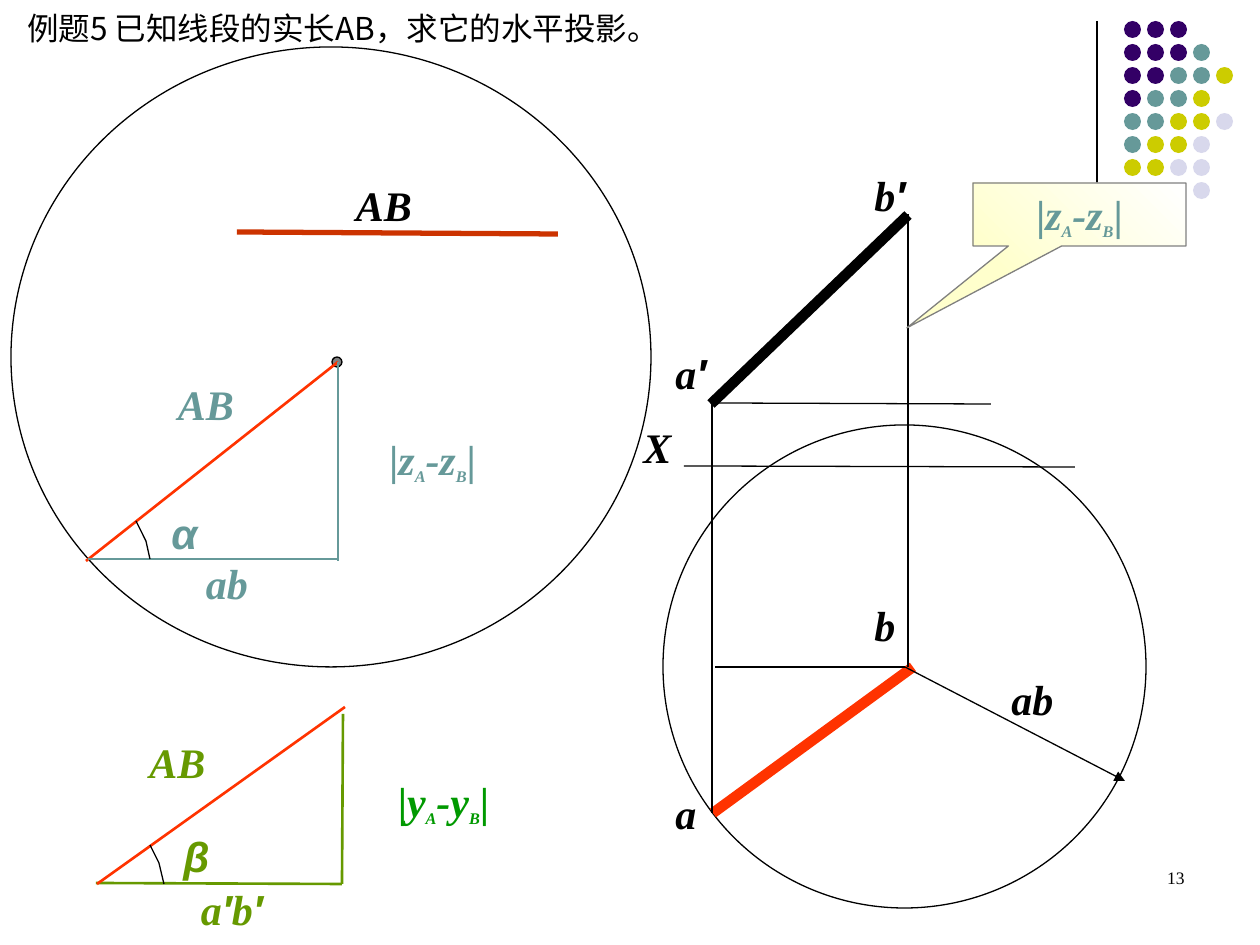
import pptx
import pptx.util
import pptx.dml.color
import pptx.enum.shapes
import pptx.enum.text
import lxml.etree

SCALE = 914400 / 126
SERIF, SANS, HAN = "Times New Roman", "Arial", "Noto Sans CJK SC"
BLACK, TEAL, OLIVE, GREEN = "000000", "669999", "669900", "009900"
RED, BRICK, GREY = "FF3300", "CC3300", "808080"

# Corner dots: one letter per dot, a space for a gap
DOT_ROWS = ["PPP", "PPPT", "PPTTY", "PTTY", "TTYYL", "TYYL", "YYLL", "   L"]
DOT_COLOURS = {"P": "330066", "T": TEAL, "Y": "CCCC00", "L": "D8D8EC"}
DOT_LEFT, DOT_TOP, DOT_STEP, DOT_SIZE = 1124, 21, 23, 17

# Run styles: font, size, italic, baseline in thousandths of a percent
STYLES = {
    "letter": (SERIF, 24, True, 0),
    "upright": (SERIF, 24, False, 0),
    "sub": (SERIF, 16, True, -25000),
    "greek": (SANS, 24, True, 0),
}


def difference(axis):
    return [("|", "upright"), (axis, "letter"), ("A", "sub"),
            ("-" + axis, "letter"), ("B", "sub"), ("|", "upright")]


def letters(text):
    return [(text, "letter")]


def primed(*names):
    return [run for name in names
            for run in ((name, "letter"), ("′", "greek"))]


# Labels: runs, left, top, width, colour, alignment
LABELS = [
    (letters("a"), 663, 781, 62, BLACK, "left"),
    (letters("ab"), 999, 667, 116, BLACK, "left"),
    (primed("b"), 862, 163, 71, BLACK, "left"),
    (letters("X"), 631, 415, 82, BLACK, "left"),
    (primed("a"), 663, 341, 78, BLACK, "left"),
    (letters("b"), 862, 593, 67, BLACK, "left"),
    (letters("AB"), 316, 173, 136, BLACK, "center"),
    ([("α", "greek")], 159, 501, 52, TEAL, "left"),
    (letters("AB"), 127, 372, 158, TEAL, "center"),
    (letters("ab"), 169, 551, 116, TEAL, "center"),
    (difference("z"), 321, 427, 223, TEAL, "center"),
    ([("β", "greek")], 171, 824, 63, OLIVE, "left"),
    (primed("a", "b"), 106, 877, 252, OLIVE, "center"),
    (difference("y"), 311, 769, 265, GREEN, "center"),
    (letters("AB"), 137, 730, 158, OLIVE, "left"),
]
LABEL_HEIGHT = 63

# Straight lines: from x, y, to x, y, colour, width in points
LINES = [
    (713, 813, 913, 667, RED, 6),              # ab
    (711, 403, 991, 404, BLACK, 0.75),         # level of a′
    (712, 813, 712, 403, BLACK, 0.75),         # a to a′
    (905, 667, 715, 667, BLACK, 0.75),         # level of b
    (96, 883, 342, 884, OLIVE, 1.5),           # beta triangle
    (343, 714, 342, 884, OLIVE, 1.5),
    (97, 884, 345, 707, RED, 1.5),
    (86, 561, 338, 362, RED, 1.5),             # alpha triangle
    (337, 559, 88, 559, TEAL, 1.5),
    (338, 362, 338, 561, TEAL, 1.5),
    (1075, 467, 684, 466, BLACK, 0.75),        # X axis
    (908, 667, 908, 214, BLACK, 0.75),         # b to b′
    (908, 215, 711, 404, BLACK, 6),            # a′b′
    (237, 232, 558, 234, BRICK, 3),            # true length AB
]
RADIUS_ARROW = (905, 667, 1125, 781, BLACK, 0.75)
DIVIDER = (1097, 21, 1097, 231, BLACK, 0.75)
ANGLE_MARKS = [
    [(136, 521), (146, 541), (150, 559)],
    [(150, 845), (159, 863), (164, 884)],
]
CIRCLES = [(663, 425, 483, 483), (11, 47, 640, 620)]
PIVOT = (332, 357, 10, 10)
CALLOUT = (973, 183, 213, 63)
TITLE, TITLE_AREA = "例题5 已知线段的实长AB，求它的水平投影。", (15, 3, 655, 88)
NUMBER, NUMBER_AREA = "13", (903, 861, 294, 63)


def px(*values):
    return [pptx.util.Emu(round(value * SCALE)) for value in values]


def colour(code):
    return pptx.dml.color.RGBColor.from_string(code)


def set_line(item, code, width):
    item.line.color.rgb = colour(code)
    item.line.width = pptx.util.Pt(width)


def add_line(page, x1, y1, x2, y2, code, width):
    line = page.shapes.add_connector(
        pptx.enum.shapes.MSO_CONNECTOR.STRAIGHT, *px(x1, y1, x2, y2))
    set_line(line, code, width)
    lxml.etree.SubElement(line._element.spPr, pptx.oxml.ns.qn("a:effectLst"))
    return line


def add_circle(page, area, fill=None, outline=None):
    circle = page.shapes.add_shape(
        pptx.enum.shapes.MSO_SHAPE.OVAL, *px(*area))
    circle.shadow.inherit = False
    if fill:
        circle.fill.solid()
        circle.fill.fore_color.rgb = colour(fill)
    else:
        circle.fill.background()
    if outline:
        set_line(circle, outline, 0.75)
    else:
        circle.line.fill.background()


def add_span(para, text, font, size, code):
    span = para.add_run()
    span.text = text
    span.font.size = pptx.util.Pt(size)
    span.font.color.rgb = colour(code)
    span.font.name = font
    return span


def add_runs(para, runs, code):
    for text, style in runs:
        font, size, italic, baseline = STYLES[style]
        span = add_span(para, text, font, size, code)
        span.font.bold = True
        span.font.italic = italic
        if baseline:
            span.font._element.set("baseline", str(baseline))


def add_box(page, area, align="left"):
    box = page.shapes.add_textbox(*px(*area))
    box.text_frame.word_wrap = True
    para = box.text_frame.paragraphs[0]
    para.alignment = getattr(pptx.enum.text.PP_ALIGN, align.upper())
    return para


def main():
    deck = pptx.Presentation()
    deck.slide_width, deck.slide_height = px(1260, 945)
    page = deck.slides.add_slide(deck.slide_layouts[6])

    # Corner decoration
    add_line(page, *DIVIDER)
    for row, marks in enumerate(DOT_ROWS):
        for column, mark in enumerate(marks):
            if mark in DOT_COLOURS:
                add_circle(page, (DOT_LEFT + column * DOT_STEP,
                                  DOT_TOP + row * DOT_STEP,
                                  DOT_SIZE, DOT_SIZE), DOT_COLOURS[mark])

    # Construction circles, lines and angle marks
    for area in CIRCLES:
        add_circle(page, area, outline=BLACK)
    add_circle(page, PIVOT, GREY, BLACK)
    for line in LINES:
        add_line(page, *line)
    arrow = add_line(page, *RADIUS_ARROW)
    lxml.etree.SubElement(arrow.line._get_or_add_ln(),
                          pptx.oxml.ns.qn("a:tailEnd"), type="triangle")
    for points in ANGLE_MARKS:
        builder = page.shapes.build_freeform(*points[0], scale=SCALE)
        builder.add_line_segments(points[1:], close=False)
        mark = builder.convert_to_shape()
        mark.shadow.inherit = False
        mark.fill.background()
        set_line(mark, BLACK, 0.75)

    # Callout naming the height difference
    callout = page.shapes.add_shape(
        pptx.enum.shapes.MSO_SHAPE.RECTANGULAR_CALLOUT, *px(*CALLOUT))
    callout.adjustments[0], callout.adjustments[1] = -0.81, 1.8
    callout.shadow.inherit = False
    callout.fill.gradient()
    callout.fill.gradient_angle = 225
    for stop, code in zip(callout.fill.gradient_stops, ("FFFFFF", "FFFFCC")):
        stop.color.rgb = colour(code)
    set_line(callout, GREY, 0.75)
    callout.text_frame.word_wrap = False
    callout.text_frame.vertical_anchor = pptx.enum.text.MSO_ANCHOR.MIDDLE
    para = callout.text_frame.paragraphs[0]
    para.alignment = pptx.enum.text.PP_ALIGN.CENTER
    add_runs(para, difference("z"), TEAL)

    # Labels, title and page number
    for runs, left, top, width, code, align in LABELS:
        add_runs(add_box(page, (left, top, width, LABEL_HEIGHT), align),
                 runs, code)
    span = add_span(add_box(page, TITLE_AREA), TITLE, HAN, 18, BLACK)
    lxml.etree.SubElement(span.font._element, pptx.oxml.ns.qn("a:ea"),
                          typeface=HAN)
    add_span(add_box(page, NUMBER_AREA, "right"), NUMBER, SERIF, 10, BLACK)

    deck.save("out.pptx")


if __name__ == "__main__":
    main()
